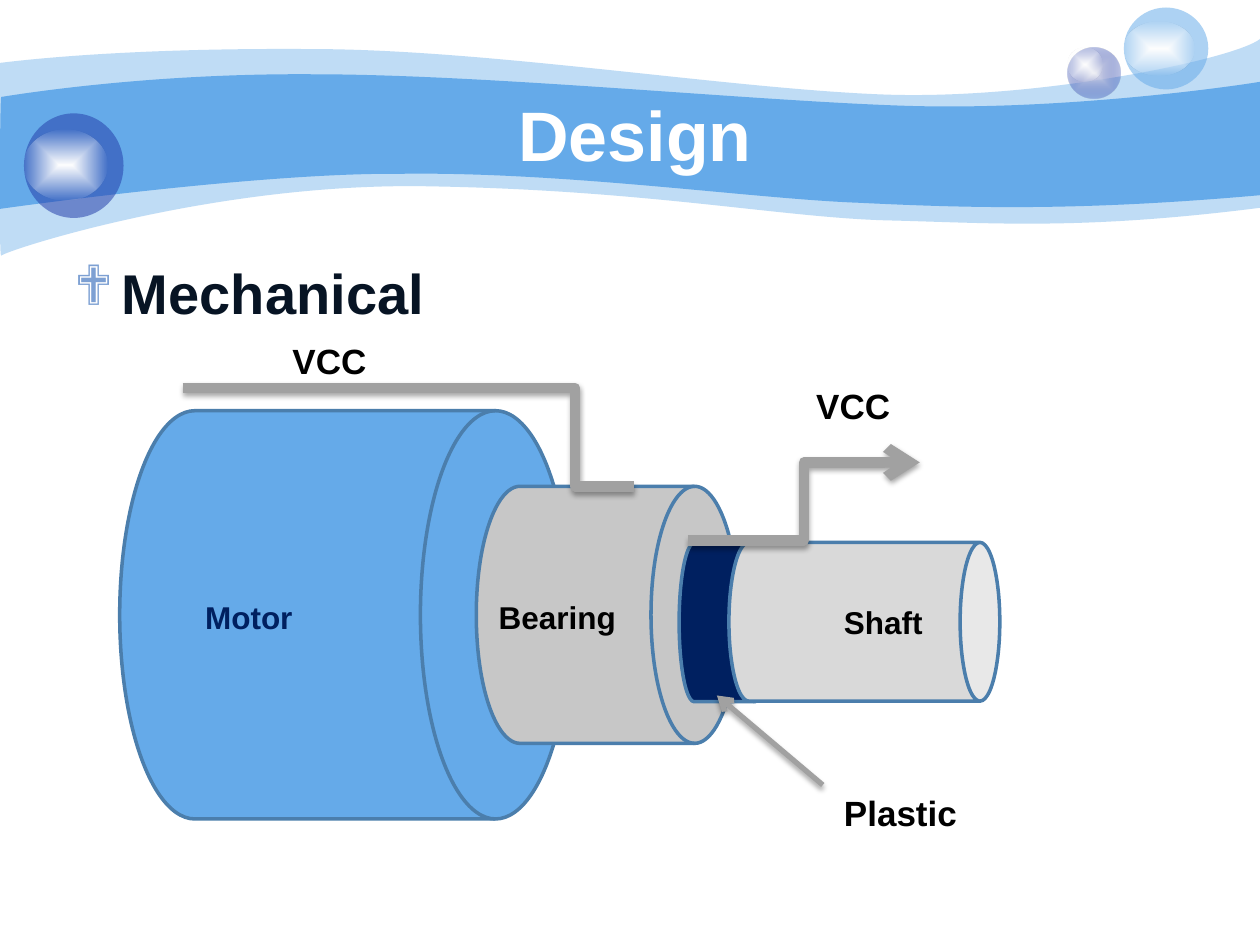
from dataclasses import dataclass

import pptx
import pptx.dml.color
import pptx.enum.shapes
import pptx.enum.text
import pptx.oxml
import pptx.oxml.ns
import pptx.util
from pptx.util import Inches

COLORS = {
    "sky": "65AAE9", "indigo": "233DA9", "mist": "E1E2ED", "white": "FFFFFF",
    "black": "000000", "navy": "002060", "ink": "071424", "bullet": "7DA0D3",
    "edge": "4B7EAC", "wire": "A1A1A1", "steel": "C7C7C7", "silver": "D9D9D9",
}
PRESETS = pptx.enum.shapes.MSO_SHAPE
ALIGN = pptx.enum.text.PP_ALIGN
ANCHOR = pptx.enum.text.MSO_ANCHOR
NAMESPACE = pptx.oxml.ns.nsdecls("a")


@dataclass
class Band:
    start: tuple
    segments: list
    opacity: int = 100


@dataclass
class Bubble:
    frame: tuple
    glow: tuple
    color: str
    opacity: int
    center: str = ""


@dataclass
class Part:
    frame: tuple
    color: str
    preset: int = PRESETS.FLOWCHART_DIRECT_ACCESS_STORAGE
    rotation: int = 0


@dataclass
class Wire:
    begin: tuple
    end: tuple
    width: int
    bend: float = 0
    arrow: bool = True


BANDS = [
    Band((0, 0.5), [
        (0.24, 0.47, 1.07, 0.38, 2.47, 0.39), (3.86, 0.39, 5.75, 0.7, 6.99, 0.75),
        (8.22, 0.8, 9.8, 0.47, 10, 0.31), (10, 1.65),
        (8.58, 1.83, 7.87, 1.77, 7.05, 1.75), (6.22, 1.73, 5.15, 1.51, 3.43, 1.48),
        (1.72, 1.44, 0.04, 1.99, 0.01, 2.03), (-0.01, 2.08, 0, 0.75, 0, 0.5)], 41),
    Band((0.01, 0.77), [
        (0.02, 0.77, 1.1, 0.58, 2.48, 0.59), (3.86, 0.59, 5.95, 0.8, 7.18, 0.84),
        (8.41, 0.88, 9.76, 0.69, 10, 0.65), (10, 1.55),
        (8.53, 1.68, 7.65, 1.65, 6.82, 1.61), (5.99, 1.58, 4.47, 1.36, 3.17, 1.38),
        (2.03, 1.37, -0.02, 1.66, -0.01, 1.66), (0, 1.66, 0, 0.77, 0.01, 0.77)]),
]
BUBBLES = [
    Bubble((8.47, 0.38, 0.42, 0.4), (8.47, 0.38, 0.28, 0.27), "indigo", 31, "mist"),
    Bubble((8.92, 0.06, 0.67, 0.65), (8.92, 0.17, 0.56, 0.43), "sky", 53),
    Bubble((0.19, 0.9, 0.79, 0.83), (0.19, 1.03, 0.66, 0.56), "indigo", 53),
]


def color_of(name: str) -> pptx.dml.color.RGBColor:
    return pptx.dml.color.RGBColor.from_string(COLORS[name])


def color_xml(name: str, opacity: int = 100) -> str:
    alpha = f'<a:alpha val="{opacity * 1000}"/>' if opacity < 100 else ""
    return f'<a:srgbClr val="{COLORS[name]}">{alpha}</a:srgbClr>'


def fill_shape(shape, color: str, opacity: int = 100, center: str = "") -> None:
    shape.shadow.inherit = False
    shape.fill.solid()
    shape.fill.fore_color.rgb = color_of(color)
    shape.line.fill.background()
    solid = shape._element.spPr.find(pptx.oxml.ns.qn("a:solidFill"))
    if center:
        xml = (f'<a:gradFill {NAMESPACE} rotWithShape="1"><a:gsLst>'
               f'<a:gs pos="0">{color_xml(center)}</a:gs>'
               f'<a:gs pos="100000">{color_xml(color, opacity)}</a:gs></a:gsLst>'
               '<a:path path="shape"><a:fillToRect l="50000" t="50000" r="50000" b="50000"/>'
               '</a:path></a:gradFill>')
    else:
        xml = f'<a:solidFill {NAMESPACE}>{color_xml(color, opacity)}</a:solidFill>'
    solid.getparent().replace(solid, pptx.oxml.parse_xml(xml))


def draw_band(page, band: Band) -> None:
    points = [(Inches(x), Inches(y)) for segment in band.segments
              for x, y in zip(segment[::2], segment[1::2])]
    builder = page.shapes.build_freeform(*map(Inches, band.start))
    builder.add_line_segments(points, close=True)
    shape = builder.convert_to_shape()
    strokes = iter(list(shape._element.spPr.iter(pptx.oxml.ns.qn("a:lnTo"))))
    for segment in band.segments:
        group = [next(strokes) for _ in segment[::2]]
        if len(group) == 3:
            curve = pptx.oxml.parse_xml(f'<a:cubicBezTo {NAMESPACE}/>')
            group[0].addprevious(curve)
            for stroke in group:
                curve.append(stroke[0])
                stroke.getparent().remove(stroke)
    fill_shape(shape, "sky", band.opacity)


def draw_bubble(page, bubble: Bubble) -> None:
    ball = page.shapes.add_shape(PRESETS.OVAL, *map(Inches, bubble.frame))
    fill_shape(ball, bubble.color, bubble.opacity, bubble.center)
    glow = page.shapes.add_shape(PRESETS.OVAL, *map(Inches, bubble.glow))
    fill_shape(glow, "white", 0, "white")


def draw_part(page, part: Part) -> None:
    shape = page.shapes.add_shape(part.preset, *map(Inches, part.frame))
    fill_shape(shape, part.color)
    shape.rotation = part.rotation
    shape.line.color.rgb = color_of("edge")
    shape.line.width = pptx.util.Pt(2)


def draw_wire(page, wire: Wire) -> None:
    kinds = pptx.enum.shapes.MSO_CONNECTOR
    line = page.shapes.add_connector(
        kinds.ELBOW if wire.bend else kinds.STRAIGHT, *map(Inches, wire.begin + wire.end))
    line.line.color.rgb = color_of("wire")
    line.line.width = pptx.util.Pt(wire.width)
    properties = line._element.spPr
    if wire.bend:
        geometry = properties.find(pptx.oxml.ns.qn("a:prstGeom"))
        guides = geometry.find(pptx.oxml.ns.qn("a:avLst"))
        guides.append(pptx.oxml.parse_xml(
            f'<a:gd {NAMESPACE} name="adj1" fmla="val {round(wire.bend * 100000)}"/>'))
    if wire.arrow:
        properties.find(pptx.oxml.ns.qn("a:ln")).append(
            pptx.oxml.parse_xml(f'<a:tailEnd {NAMESPACE} type="arrow"/>'))
    properties.append(pptx.oxml.parse_xml(
        f'<a:effectLst {NAMESPACE}><a:outerShdw blurRad="{pptx.util.Pt(3.1)}" '
        f'dist="{pptx.util.Pt(1.8)}" dir="5400000" rotWithShape="0">'
        f'{color_xml("black", 35)}</a:outerShdw></a:effectLst>'))


def write_text(page, text: str, frame: tuple, *, size: int = 18, color: str = "black",
               align=ALIGN.LEFT, anchor=ANCHOR.TOP, bullet: str = "") -> None:
    box = page.shapes.add_textbox(*map(Inches, frame))
    box.text_frame.word_wrap = True
    box.text_frame.vertical_anchor = anchor
    para = box.text_frame.paragraphs[0]
    para.alignment = align
    span = para.add_run()
    span.text = text
    span.font.name = "Arial"
    span.font.size = pptx.util.Pt(size)
    span.font.bold = True
    span.font.color.rgb = color_of(color)
    if bullet:
        para.space_before = pptx.util.Pt(size * 0.2)
        settings = para._p.get_or_add_pPr()
        settings.set("marL", str(Inches(0.38)))
        settings.set("indent", str(Inches(-0.38)))
        for xml in (f'<a:buClr {NAMESPACE}>{color_xml("bullet")}</a:buClr>',
                    f'<a:buFont {NAMESPACE} typeface="Wingdings" charset="2"/>',
                    f'<a:buChar {NAMESPACE} char="{bullet}"/>'):
            settings.append(pptx.oxml.parse_xml(xml))


def main() -> None:
    deck = pptx.Presentation()
    deck.slide_width, deck.slide_height = Inches(10), Inches(7.5)
    page = deck.slides.add_slide(deck.slide_layouts[6])
    for band in BANDS:
        draw_band(page, band)
    for bubble in BUBBLES:
        draw_bubble(page, bubble)
    write_text(page, "Design", (1, 0.75, 8.08, 0.62), size=40, color="white",
               align=ALIGN.CENTER, anchor=ANCHOR.MIDDLE)
    write_text(page, "Mechanical", (0.49, 2, 9.17, 5.08), size=32, color="ink", bullet="❖")
    write_text(page, "VCC", (1.45, 2.45, 2.33, 0.82), size=20,
               align=ALIGN.CENTER, anchor=ANCHOR.MIDDLE)
    draw_part(page, Part((0.95, 3.26, 3.58, 3.24), "sky"))
    draw_part(page, Part((3.78, 3.86, 2.08, 2.04), "steel"))
    draw_wire(page, Wire((1.45, 3.08), (5.03, 3.86), 6, bend=0.87, arrow=False))
    write_text(page, "Motor", (1.53, 4.7, 1.17, 0.4), color="navy")
    write_text(page, "Bearing", (3.86, 4.7, 1.17, 0.4))
    draw_part(page, Part((5.39, 4.31, 0.72, 1.26), "navy"))
    draw_part(page, Part((6.23, 3.86, 1.26, 2.15), "silver", PRESETS.CAN, 90))
    draw_wire(page, Wire((5.46, 4.29), (7.3, 3.67), 6, bend=0.5))
    write_text(page, "VCC", (6.38, 3, 1.17, 0.44), size=20)
    write_text(page, "Shaft", (6.6, 4.74, 1.33, 0.4))
    write_text(page, "Plastic", (6.6, 6.23, 1.17, 0.44), size=20)
    draw_wire(page, Wire((6.53, 6.23), (5.69, 5.52), 3))
    deck.save("out.pptx")


if __name__ == "__main__":
    main()
